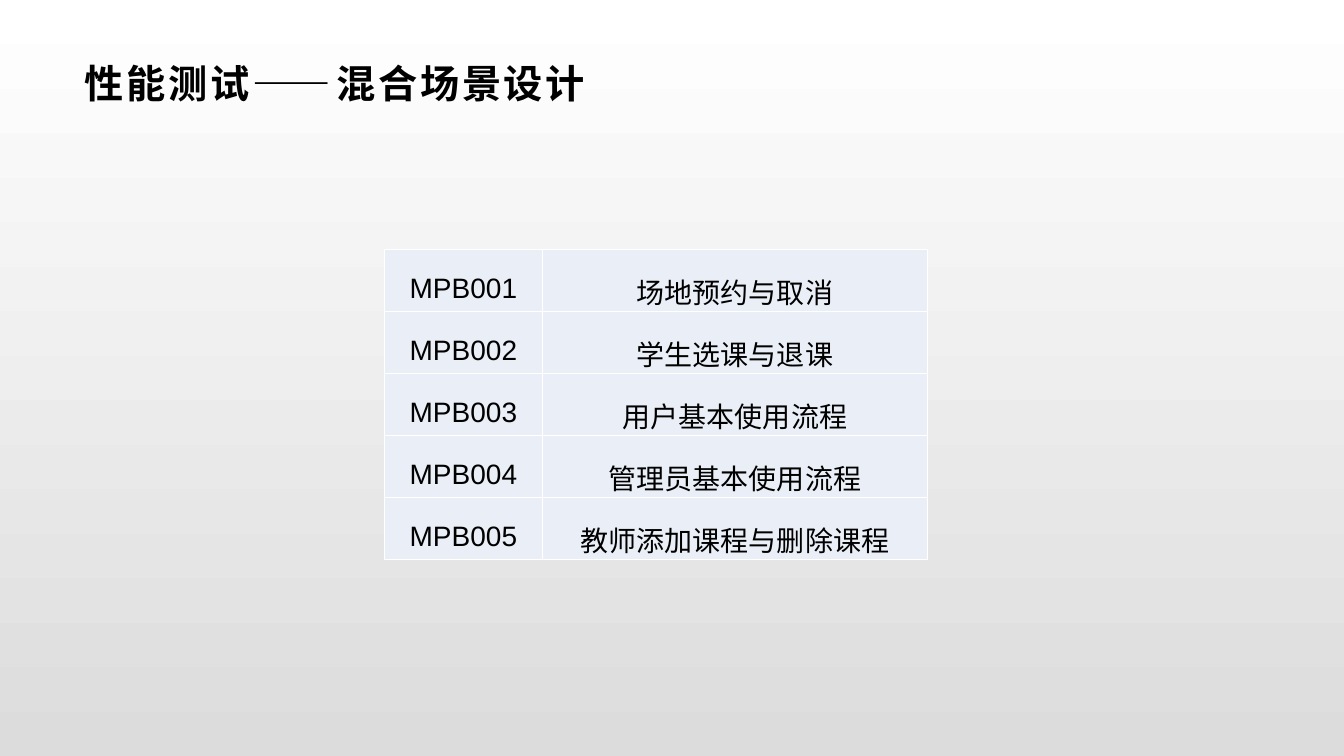
from lxml import etree
from pptx import Presentation
from pptx.dml.color import RGBColor
from pptx.enum.text import MSO_ANCHOR, PP_ALIGN
from pptx.oxml.ns import qn
from pptx.util import Pt

MIDDLE = MSO_ANCHOR.MIDDLE
LEFT = PP_ALIGN.LEFT
CENTER = PP_ALIGN.CENTER
FONT = "Arial"
SCENES = [
    ("MPB001", "场地预约与取消"),
    ("MPB002", "学生选课与退课"),
    ("MPB003", "用户基本使用流程"),
    ("MPB004", "管理员基本使用流程"),
    ("MPB005", "教师添加课程与删除课程"),
]


def color(code):
    return RGBColor.from_string(code)


def add_run(para, text, size, bold=False):
    run = para.add_run()
    run.text = text
    run.font.name = FONT
    run.font.size = Pt(size)
    run.font.bold = bold
    run.font.color.rgb = color("000000")
    return run


def set_inset(item, left, top, right, bottom):
    item.margin_left = Pt(left)
    item.margin_top = Pt(top)
    item.margin_right = Pt(right)
    item.margin_bottom = Pt(bottom)
    item.vertical_anchor = MIDDLE


def set_edges(cell, code, width):
    props = cell._tc.get_or_add_tcPr()
    for at, side in enumerate(("a:lnL", "a:lnR", "a:lnT", "a:lnB")):
        line = etree.Element(qn(side), w=str(Pt(width)))
        fill = etree.SubElement(line, qn("a:solidFill"))
        etree.SubElement(fill, qn("a:srgbClr"), val=code)
        props.insert(at, line)


def draw_back(slide):
    fill = slide.background.fill
    fill.gradient()
    fill.gradient_angle = 270
    for stop, place, code in zip(fill.gradient_stops, (0, 1), ("FFFFFF", "DCDCDC")):
        stop.position = place
        stop.color.rgb = color(code)


def draw_title(slide, left, top, width, height):
    title = slide.shapes.title
    title.left, title.top = Pt(left), Pt(top)
    title.width, title.height = Pt(width), Pt(height)
    frame = title.text_frame
    frame.word_wrap = True
    set_inset(frame, 8, 3, 6, 3)
    para = frame.paragraphs[0]
    para.alignment = LEFT
    run = add_run(para, "性能测试——混合场景设计", 28, True)
    run.font._element.set("spc", "200")


def fill_cell(cell, text):
    cell.fill.solid()
    cell.fill.fore_color.rgb = color("EAEFF7")
    set_inset(cell, 0.75, 0.75, 0.75, 0)
    set_edges(cell, "FFFFFF", 1)
    para = cell.text_frame.paragraphs[0]
    para.alignment = CENTER
    para.line_spacing = 1.5
    para.space_before = para.space_after = Pt(6)
    add_run(para, text, 20)


def draw_table(slide, left, top, width, height):
    frame = slide.shapes.add_table(
        len(SCENES), 2, Pt(left), Pt(top), Pt(width), Pt(height)
    )
    table = frame.table
    table.first_row = table.horz_banding = False
    first = 113
    table.columns[0].width = Pt(first)
    table.columns[1].width = Pt(width - first)
    for row, scene in zip(table.rows, SCENES):
        for cell, text in zip(row.cells, scene):
            fill_cell(cell, text)


def main():
    deck = Presentation()
    deck.slide_width, deck.slide_height = Pt(960), Pt(540)
    slide = deck.slides.add_slide(deck.slide_layouts[5])
    draw_back(slide)
    draw_title(slide, 52.5, 34, 855, 51)
    draw_table(slide, 274.5, 178, 388, 183.5)
    deck.save("out.pptx")


if __name__ == "__main__":
    main()
